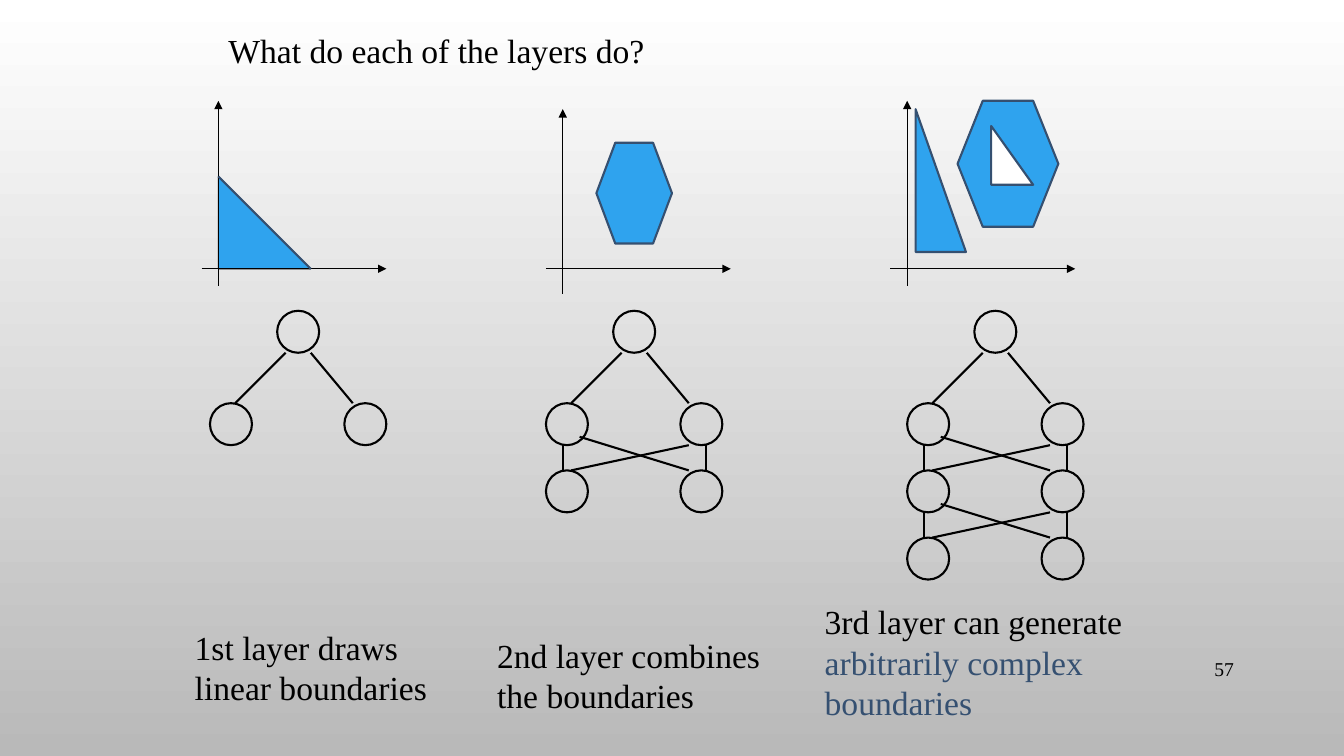
from lxml.etree import SubElement
from pptx import Presentation
from pptx.dml.color import RGBColor
from pptx.enum.shapes import MSO_CONNECTOR, MSO_SHAPE
from pptx.enum.text import MSO_ANCHOR, PP_ALIGN
from pptx.oxml.ns import qn
from pptx.util import Pt

COLORS = {
    "ink": "000000",
    "navy": "355071",
    "sky": "2FA3EE",
    "white": "FFFFFF",
    "gray": "B9B9B9",
}
FONT = "Times New Roman"
NODE = 30
NODE_SPAN = 96
LAYER_STEP = 48
AXIS = 132
AXIS_OVERHANG = 12


def rgb(name):
    return RGBColor.from_string(COLORS[name])


def add_line(slide, start, end, color="ink", width=1.5, arrow=False):
    points = [Pt(value) for value in (*start, *end)]
    connector = slide.shapes.add_connector(MSO_CONNECTOR.STRAIGHT, *points)
    connector.line.color.rgb = rgb(color)
    connector.line.width = Pt(width)
    properties = connector._element.spPr
    if arrow:
        SubElement(properties.find(qn("a:ln")), qn("a:tailEnd"), type="triangle")
    SubElement(properties, qn("a:effectLst"))


def add_figure(slide, kind, box, fill=None, line="navy", width=1.5):
    shape = slide.shapes.add_shape(kind, *[Pt(value) for value in box])
    shape.shadow.inherit = False
    if fill:
        shape.fill.solid()
        shape.fill.fore_color.rgb = rgb(fill)
    else:
        shape.fill.background()
    shape.line.color.rgb = rgb(line)
    shape.line.width = Pt(width)


def style_text(shape, runs, size=24, align=PP_ALIGN.LEFT, anchor=MSO_ANCHOR.TOP):
    frame = shape.text_frame
    frame.word_wrap = True
    frame.vertical_anchor = anchor
    paragraph = frame.paragraphs[0]
    paragraph.alignment = align
    paragraph.font.name = FONT
    paragraph.font.size = Pt(size)
    for text, color in runs:
        run = paragraph.add_run()
        run.text = text
        run.font.color.rgb = rgb(color)


def add_text(slide, box, runs, **style):
    shape = slide.shapes.add_textbox(*[Pt(value) for value in box])
    style_text(shape, runs, **style)


def add_title(slide, box, text):
    title = slide.shapes.title
    title.left, title.top, title.width, title.height = [Pt(value) for value in box]
    style_text(title, [(text, "ink")])


def add_axes(slide, left, top, baseline):
    add_line(slide, (left, baseline), (left + AXIS, baseline), width=0.75, arrow=True)
    x = left + AXIS_OVERHANG
    add_line(slide, (x, top + AXIS), (x, top), width=0.75, arrow=True)


def add_linear_plot(slide, left, top):
    add_axes(slide, left, top, top + 120)
    x, y, side = left + AXIS_OVERHANG, top + 54, 66
    add_figure(slide, MSO_SHAPE.RIGHT_TRIANGLE, (x, y, side, side), "sky", "ink", 0.75)
    add_line(slide, (x, y), (x + side, y + side), "navy")


def add_convex_plot(slide, left, top):
    add_axes(slide, left, top, top + 114)
    add_figure(slide, MSO_SHAPE.HEXAGON, (left + 36, top + 24, 54, 72), "sky")


def add_complex_plot(slide, left, top):
    add_axes(slide, left, top, top + 120)
    add_figure(slide, MSO_SHAPE.HEXAGON, (left + 48, top, 72, 90), "sky")
    add_figure(slide, MSO_SHAPE.RIGHT_TRIANGLE, (left + 18, top + 6, 36, 102), "sky")
    add_figure(slide, MSO_SHAPE.RIGHT_TRIANGLE, (left + 72, top + 18, 30, 42), "white")


def add_network(slide, left, top, layers):
    def add_node(x, y):
        add_figure(slide, MSO_SHAPE.OVAL, (x, y, NODE, NODE), line="ink")

    first_row = top + 66
    add_node(left + NODE_SPAN / 2, top)
    root_links = [(18, 54, 36), (102, 72, 36)]
    layer_links = [(18, 102, 18), (102, 24, 24), (12, 12, 18), (114, 114, 18)]
    for layer in range(layers):
        row = first_row + layer * LAYER_STEP
        add_node(left, row)
        add_node(left + NODE_SPAN, row)
        for start, end, rise in layer_links if layer else root_links:
            add_line(slide, (left + start, row), (left + end, row - rise))


def set_background(slide):
    fill = slide.background.fill
    fill.gradient()
    fill.gradient_angle = 270
    for stop, position, color in zip(fill.gradient_stops, (0, 1), ("white", "gray")):
        stop.position = position
        stop.color.rgb = rgb(color)


def build_layers_slide(presentation):
    slide = presentation.slides.add_slide(presentation.slide_layouts[5])
    set_background(slide)
    add_title(slide, (156, 18, 672, 36), "What do each of the layers do?")

    add_linear_plot(slide, 144, 72)
    add_convex_plot(slide, 390, 78)
    add_complex_plot(slide, 636, 72)

    for layers, left in enumerate((150, 390, 648), start=1):
        add_network(slide, left, 222, layers)

    captions = [
        ((132, 444, 205, 66), [("1st layer draws linear boundaries", "ink")]),
        ((348, 450, 222, 90), [("2nd layer combines the boundaries", "ink")]),
        ((582, 426, 258, 94), [("3rd layer can generate ", "ink"),
                               ("arbitrarily complex boundaries", "navy")]),
    ]
    for box, runs in captions:
        add_text(slide, box, runs)
    add_text(slide, (828, 463, 60.5, 29), [("57", "ink")], size=14,
             align=PP_ALIGN.RIGHT, anchor=MSO_ANCHOR.MIDDLE)


def main():
    presentation = Presentation()
    presentation.slide_width = Pt(960)
    presentation.slide_height = Pt(540)
    build_layers_slide(presentation)
    presentation.save("out.pptx")


if __name__ == "__main__":
    main()
